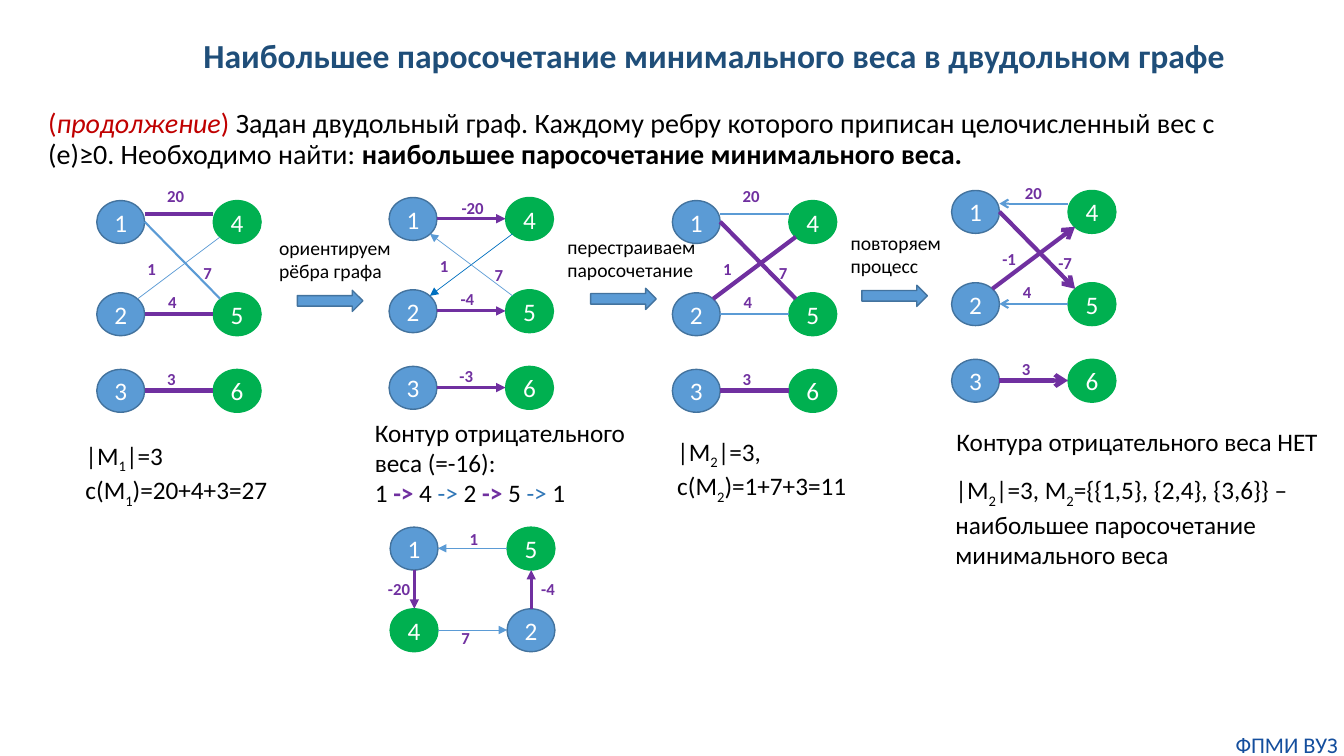
from dataclasses import dataclass

from lxml import etree
from pptx import Presentation
from pptx.dml.color import RGBColor
from pptx.enum.shapes import MSO_CONNECTOR, MSO_SHAPE
from pptx.enum.text import MSO_ANCHOR, MSO_AUTO_SIZE, PP_ALIGN
from pptx.oxml.ns import qn
from pptx.util import Inches, Pt

STRAIGHT = MSO_CONNECTOR.STRAIGHT
ELLIPSE, RIGHT_ARROW = MSO_SHAPE.OVAL, MSO_SHAPE.RIGHT_ARROW
MIDDLE, CENTER = MSO_ANCHOR.MIDDLE, PP_ALIGN.CENTER
FIT_SHAPE, NO_FIT = MSO_AUTO_SIZE.SHAPE_TO_FIT_TEXT, MSO_AUTO_SIZE.NONE

CELL = 0.1  # inches in one column or row of the grid
COLUMNS, ROWS = 133.33, 75
NODE_WIDTH, NODE_HEIGHT = 4.75, 4.25


@dataclass(frozen=True)
class Theme:
    font: str = "Calibri"
    title: str = "1F4E79"
    text: str = "000000"
    white: str = "FFFFFF"
    accent: str = "C00000"
    purple: str = "7030A0"
    blue: str = "5B9BD5"
    blue_edge: str = "43739E"
    blue_text: str = "2E75B6"
    blue_deep: str = "0070C0"
    green: str = "00B050"
    footer: str = "144E9D"
    title_size: int = 24
    lead_size: int = 20
    body_size: int = 18
    footer_size: int = 16
    caption_size: int = 14
    weight_size: int = 12


THEME = Theme()
STROKES = {
    "matching": (THEME.purple, 3),
    "directed": (THEME.purple, 2.25),
    "free": (THEME.blue, 1.5),
    "thin": (THEME.blue, 0.5),
    "thin deep": (THEME.blue_deep, 0.5),
}
BOLD, ITALIC, SUBSCRIPT = {"bold": True}, {"italic": True}, {"baseline": "-25000"}
RED = {"color": THEME.accent}
PURPLE_ARROW = ("-> ", {"color": THEME.purple, **BOLD})
BLUE_ARROW = ("-> ", {"color": THEME.blue_text})

# Node places, and for each edge: start, end, place of its weight
BIPARTITE_NODES = {
    "1": (0, 0), "2": (0, 9.15), "3": (0, 16.75),
    "4": (11.55, 0), "5": (11.55, 9.15), "6": (11.55, 16.75),
}
BIPARTITE_EDGES = {
    "1-4": ((4.75, 1.3), (11.55, 1.3), (6, -2)),
    "1-5": ((4.75, 2.1), (12.25, 9.75), (9.6, 5.7)),
    "2-4": ((4.05, 9.75), (12.25, 3.6), (4.05, 5.3)),
    "2-5": ((4.75, 11.25), (11.55, 11.25), (6.1, 8.6)),
    "3-6": ((4.75, 18.85), (11.55, 18.85), (6, 16.2)),
}
ORIENTED_EDGES = BIPARTITE_EDGES | {
    "1-4": ((4.75, 2.1), (11.55, 2.1), (6.2, -0.5)),
    "1-5": ((4.05, 3.6), (12.25, 9.75), (9.5, 6.2)),
}
FINAL_EDGES = BIPARTITE_EDGES | {"1-4": ((4.75, 1.3), (11.55, 1.3), (6.3, -1.3))}
CYCLE_NODES = {"1": (0, 0), "5": (11.6, 0), "4": (0, 8.1), "2": (11.6, 8.1)}
CYCLE_EDGES = {
    "1-4": ((2.4, 4.25), (2.4, 8.1), (-1.2, 4.6)),
    "2-5": ((14, 8.1), (14, 4.25), (14, 4.6)),
    "4-2": ((4.75, 10.2), (11.6, 10.2), (6.1, 9.5)),
    "5-1": ((11.6, 2.1), (4.75, 2.1), (6.9, -0.3)),
}

# Origin, nodes, edges, arrowhead, and for each edge: weight, stroke, arrow end
GRAPHS = [
    ((9.6, 19.9), BIPARTITE_NODES, BIPARTITE_EDGES, None, {
        "1-5": ("7", "free", None), "1-4": ("20", "matching", None),
        "2-5": ("4", "matching", None), "3-6": ("3", "matching", None),
        "2-4": ("1", "thin", None)}),
    ((38.6, 19.6), BIPARTITE_NODES, ORIENTED_EDGES, "triangle", {
        "1-4": ("-20", "directed", "tail"), "2-5": ("-4", "directed", "tail"),
        "3-6": ("-3", "directed", "tail"), "2-4": ("1", "thin deep", "head"),
        "1-5": ("7", "thin", "head")}),
    ((66.7, 19.9), BIPARTITE_NODES, BIPARTITE_EDGES, None, {
        "1-5": ("7", "matching", None), "1-4": ("20", "free", None),
        "2-5": ("4", "free", None), "3-6": ("3", "matching", None),
        "2-4": ("1", "matching", None)}),
    ((38.7, 52.3), CYCLE_NODES, CYCLE_EDGES, "triangle", {
        "1-4": ("-20", "directed", "tail"), "2-5": ("-4", "directed", "tail"),
        "4-2": ("7", "thin", "tail"), "5-1": ("1", "thin", "tail")}),
    ((94.4, 18.9), BIPARTITE_NODES, FINAL_EDGES, "arrow", {
        "1-5": ("-7", "matching", "tail"), "1-4": ("20", "free", "head"),
        "2-5": ("4", "free", "head"), "3-6": ("3", "matching", "tail"),
        "2-4": ("-1", "matching", "tail")}),
]

# Block arrow place, caption box, caption lines
STEPS = [
    ((29.5, 28.8), (26.7, 22.9, 13.5, 5.7), ["ориентируем", "рёбра графа"]),
    ((58.6, 28.6), (55.3, 22.8, 15.1, 5.7), ["перестраиваем", "паросочетание"]),
    ((85.5, 28.3), (83.4, 22.4, 11.3, 5.7), ["повторяем", "процесс"]),
]


def matching_summary(index, size, cost):
    return [["|M", (index, SUBSCRIPT), size], ["с(M", (index, SUBSCRIPT), cost]]


class SlideBuilder:
    def __init__(self, slide, theme):
        self.slide, self.theme = slide, theme

    def grid(self, *cells):
        return [Inches(cell * CELL) for cell in cells]

    def fill_frame(self, frame, paragraphs, size, color, paragraph_format=None, **font_format):
        """Fill a frame; a run is a string or a (string, format) pair."""
        for index, runs in enumerate(paragraphs):
            paragraph = frame.add_paragraph() if index else frame.paragraphs[0]
            for name, value in (paragraph_format or {}).items():
                setattr(paragraph, name, value)
            for item in [runs] if isinstance(runs, str) else runs:
                text, special = (item, {}) if isinstance(item, str) else item
                style = {"name": self.theme.font, "size": Pt(size), "color": color,
                         **font_format, **special}
                run = paragraph.add_run()
                run.text = text
                run.font.color.rgb = RGBColor.from_string(style.pop("color"))
                baseline = style.pop("baseline", None)
                for name, value in style.items():
                    setattr(run.font, name, value)
                if baseline:
                    run._r.get_or_add_rPr().set("baseline", baseline)

    def title(self, box, text):
        shape = self.slide.shapes.title
        for name, value in zip(("left", "top", "width", "height"), self.grid(*box)):
            setattr(shape, name, value)
        frame = shape.text_frame
        frame.vertical_anchor, frame.auto_size = MIDDLE, NO_FIT
        self.fill_frame(frame, [text], self.theme.title_size, self.theme.title,
                        {"alignment": CENTER, "line_spacing": 0.9}, **BOLD)

    def text(self, box, paragraphs, size=THEME.body_size, color=THEME.text, wrap=False,
             inset=True, paragraph_format=None, **font_format):
        frame = self.slide.shapes.add_textbox(*self.grid(*box)).text_frame
        frame.word_wrap, frame.auto_size = wrap, FIT_SHAPE
        if not inset:
            for side in ("left", "top", "right", "bottom"):
                setattr(frame, f"margin_{side}", 0)
        self.fill_frame(frame, paragraphs, size, color, paragraph_format, **font_format)

    def shape(self, kind, box, fill, line):
        shape = self.slide.shapes.add_shape(kind, *self.grid(*box))
        shape.shadow.inherit = False
        shape.fill.solid()
        shape.fill.fore_color.rgb = RGBColor.from_string(fill)
        shape.line.color.rgb = RGBColor.from_string(line)
        shape.line.width = Pt(1)
        return shape

    def node(self, x, y, label):
        theme = self.theme
        colors = (theme.blue, theme.blue_edge) if label in "123" else (theme.green, theme.green)
        frame = self.shape(ELLIPSE, (x, y, NODE_WIDTH, NODE_HEIGHT), *colors).text_frame
        frame.vertical_anchor, frame.word_wrap = MIDDLE, False
        self.fill_frame(frame, [label], theme.body_size, theme.white, {"alignment": CENTER})

    def edge(self, start, end, stroke, arrow_end, arrowhead):
        color, width = STROKES[stroke]
        connector = self.slide.shapes.add_connector(STRAIGHT, *self.grid(*start, *end))
        connector.line.color.rgb = RGBColor.from_string(color)
        connector.line.width = Pt(width)
        properties = connector.element.spPr
        if arrow_end:
            line = properties.find(qn("a:ln"))
            etree.SubElement(line, qn(f"a:{arrow_end}End"), type=arrowhead)
        etree.SubElement(properties, qn("a:effectLst"))

    def weight(self, x, y, value):
        width = 2 + sum(0.5 if sign == "-" else 0.85 for sign in value)
        self.text((x, y, width, 3), [value], self.theme.weight_size, self.theme.purple, **BOLD)

    def graph(self, origin, nodes, edges, arrowhead, drawn_edges):
        def place(point):
            return origin[0] + point[0], origin[1] + point[1]

        for label, point in nodes.items():
            self.node(*place(point), label)
        for name, (value, stroke, arrow_end) in drawn_edges.items():
            start, end, weight_point = map(place, edges[name])
            self.edge(start, end, stroke, arrow_end, arrowhead)
            self.weight(*weight_point, value)


def main():
    presentation = Presentation()
    presentation.slide_width, presentation.slide_height = Inches(COLUMNS * CELL), Inches(ROWS * CELL)
    slide = presentation.slides.add_slide(presentation.slide_layouts[5])
    builder = SlideBuilder(slide, THEME)

    builder.title((10.7, 0.9, 120.3, 9.6),
                  "Наибольшее паросочетание минимального веса в двудольном графе")
    builder.text((3.8, 10.4, 124.8, 7), [[
        ("(", RED), ("продолжение", RED | ITALIC), (") ", RED),
        "Задан двудольный граф. Каждому ребру которого приписан целочисленный вес c (e)≥0. "
        "Необходимо найти: ",
        ("наибольшее паросочетание минимального веса.", BOLD),
    ]], THEME.lead_size, wrap=True, paragraph_format={"line_spacing": 0.9, "space_before": Pt(10)})

    for graph in GRAPHS:
        builder.graph(*graph)
    for arrow, caption_box, caption in STEPS:
        builder.shape(RIGHT_ARROW, (*arrow, 6.5, 2.1), THEME.blue, THEME.blue_edge)
        builder.text(caption_box, caption, THEME.caption_size)

    builder.text((7.5, 43.2, 20.4, 7.1), matching_summary("1", "|=3", ")=20+4+3=27"))
    builder.text((36.2, 40.9, 28.1, 10.1), [
        "Контур отрицательного веса (=-16):",
        ["1 ", PURPLE_ARROW, "4 ", BLUE_ARROW, "2 ", PURPLE_ARROW, "5 ", BLUE_ARROW, "1"],
    ], wrap=True)
    builder.text((66.2, 42.8, 19.1, 7.1), matching_summary("2", "|=3,", ")=1+7+3=11"))
    builder.text((93.9, 41.8, 38.3, 4), ["Контура отрицательного веса НЕТ"])
    builder.text((93.8, 46.6, 36.1, 10.1), [
        ["|M", ("2", SUBSCRIPT), "|=3, M", ("2", SUBSCRIPT), "={{1,5}, {2,4}, {3,6}} –"],
        "наибольшее паросочетание",
        "минимального веса",
    ])
    builder.text((122, 72.5, 11.3, 2.7), ["ФПМИ ВУЗ"], THEME.footer_size, THEME.footer,
                 wrap=True, inset=False, paragraph_format={"alignment": CENTER})
    presentation.save("out.pptx")


if __name__ == "__main__":
    main()
